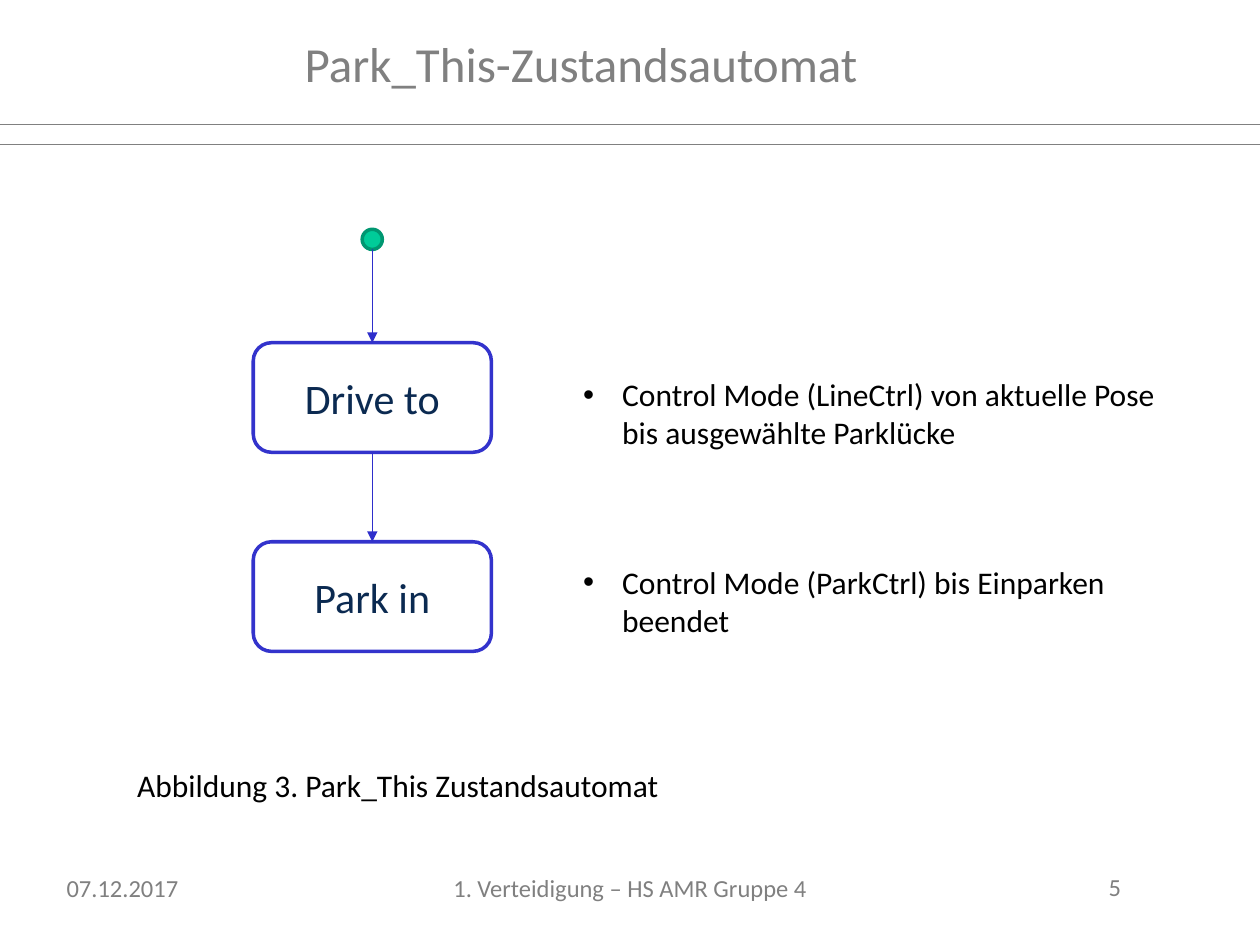
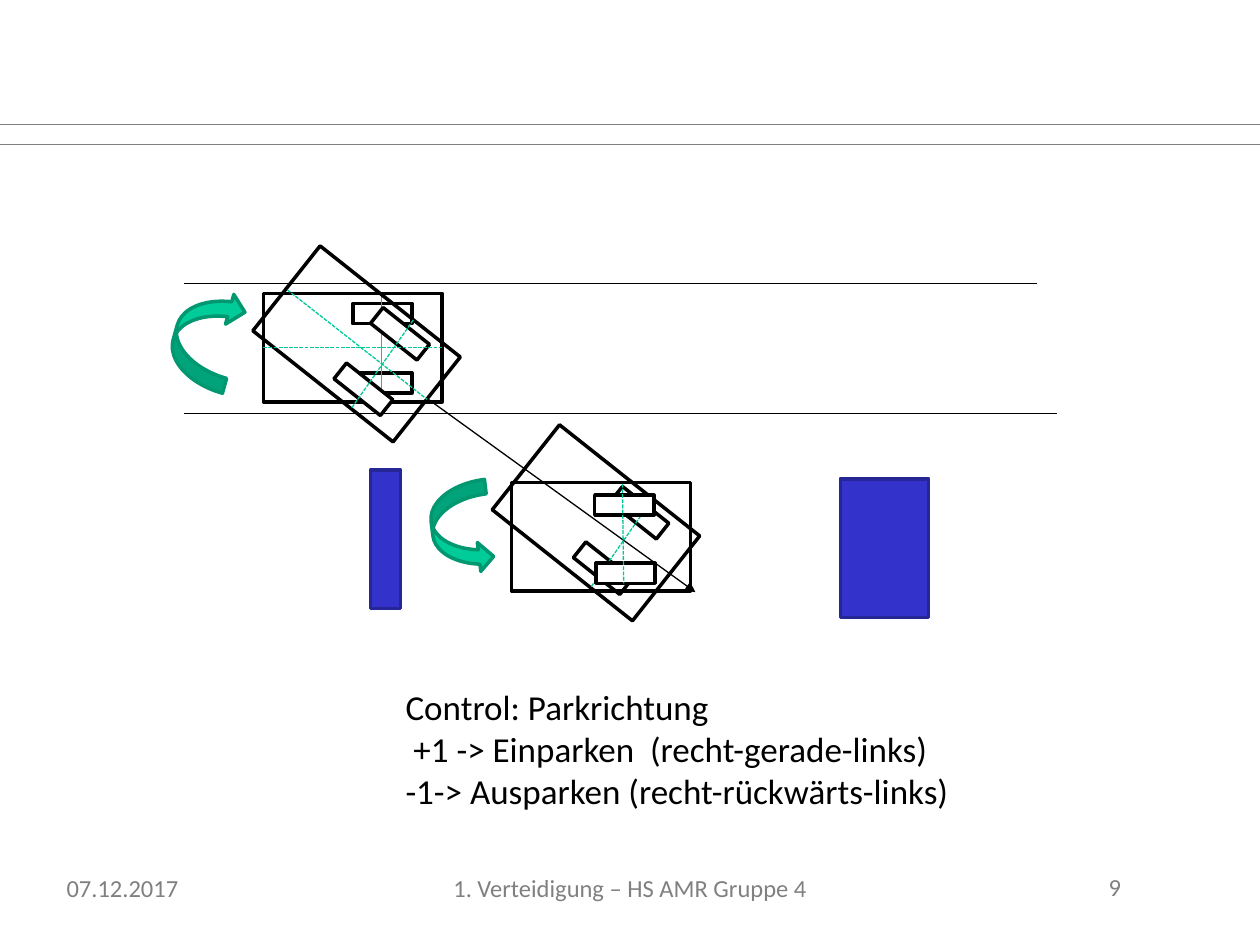
from lxml import etree
from pptx import Presentation
from pptx.dml.color import RGBColor
from pptx.enum import dml, shapes, text
from pptx.oxml import ns
from pptx.util import Inches, Pt

FONT = "Calibri"
BLACK = RGBColor(0x00, 0x00, 0x00)
WHITE = RGBColor(0xFF, 0xFF, 0xFF)
GREY = RGBColor(0x80, 0x80, 0x80)
NAVY = RGBColor(0x0B, 0x2A, 0x51)
BLUE = RGBColor(0x33, 0x33, 0xCC)
ARROW_BLUE = RGBColor(0x2E, 0x2E, 0xCB)
DARK_BLUE = RGBColor(0x26, 0x26, 0x97)
GREEN = RGBColor(0x00, 0xCC, 0x99)
DARK_GREEN = RGBColor(0x00, 0x97, 0x71)
AXLE_GREEN = RGBColor(0x00, 0xC8, 0x96)

SHAPE = shapes.MSO_SHAPE
CAR_SIZE = (1.42, 0.86)
WHEEL_SIZE = (0.47, 0.16)
TURN = 38.4
TURNED_WHEELS = [(0.82, 0.27), (0.53, 0.71)]
TURNED_AXLE = [(1.16, 0.24), (0.67, 0.94)]


def add_span(para, words, size, color):
    span = para.add_run()
    span.text = words
    span.font.name = FONT
    span.font.size = Pt(size)
    span.font.color.rgb = color


def add_text(page, box, lines, size, color, wrap=True):
    frame = page.shapes.add_textbox(*map(Inches, box)).text_frame
    frame.word_wrap = wrap
    for number, line in enumerate(lines):
        para = frame.add_paragraph() if number else frame.paragraphs[0]
        add_span(para, line, size, color)
    return frame


def add_figure(page, kind, box, fill, line, turn=0):
    figure = page.shapes.add_shape(kind, *map(Inches, box))
    figure.shadow.inherit = False
    figure.rotation = turn
    if fill is None:
        figure.fill.background()
    else:
        figure.fill.solid()
        figure.fill.fore_color.rgb = fill
    figure.line.color.rgb = line
    figure.line.width = Pt(2)
    return figure


def add_line(page, start, end, color, width=0.75, dashed=False, arrow=False):
    line = page.shapes.add_connector(
        shapes.MSO_CONNECTOR.STRAIGHT, *map(Inches, (*start, *end)))
    line.line.color.rgb = color
    line.line.width = Pt(width)
    if dashed:
        line.line.dash_style = dml.MSO_LINE.SQUARE_DOT
    if arrow:
        outline = line.line._get_or_add_ln()
        etree.SubElement(outline, ns.qn("a:tailEnd"), type="triangle")
    etree.SubElement(line._element.spPr, ns.qn("a:effectLst"))
    return line


def add_page(deck, number):
    page = deck.slides.add_slide(deck.slide_layouts[6])
    for height in (0.99, 1.15):
        add_line(page, (0, height), (10, height), GREY, 0.5)
    add_text(page, (0.43, 6.88, 1.1, 0.34), ["07.12.2017"], 14, GREY, False)
    add_text(page, (8.7, 6.87, 0.56, 0.34), [str(number)], 14, GREY)
    add_text(page, (3.5, 6.88, 3.03, 0.34),
             ["1. Verteidigung – HS AMR Gruppe 4"], 14, GREY, False)
    return page


def add_state_machine(page, left, top, width):
    middle = left + width / 2
    add_figure(page, SHAPE.FLOWCHART_CONNECTOR,
               (middle - 0.08, top, 0.16, 0.16), GREEN, DARK_GREEN)
    previous = None
    for name, offset in (("Drive to", 0.9), ("Park in", 2.48)):
        state = add_figure(page, SHAPE.ROUNDED_RECTANGLE,
                           (left, top + offset, width, 0.87), WHITE, BLUE)
        frame = state.text_frame
        frame.vertical_anchor = text.MSO_ANCHOR.MIDDLE
        frame.paragraphs[0].alignment = text.PP_ALIGN.CENTER
        add_span(frame.paragraphs[0], name, 24, NAVY)
        arrow = add_line(page, (middle, top + 0.16), (middle, top + offset),
                         ARROW_BLUE, arrow=True)
        if previous is not None:
            arrow.begin_connect(previous, 2)
        arrow.end_connect(state, 0)
        previous = state


def add_bullets(page, box, lines, gap):
    frame = add_text(page, box, lines, 18, BLACK)
    for number, para in enumerate(frame.paragraphs):
        if number:
            para.space_before = Pt(gap)
        props = para._p.get_or_add_pPr()
        props.set("marL", str(Inches(0.31)))
        props.set("indent", str(Inches(-0.31)))
        etree.SubElement(props, ns.qn("a:buFont"), typeface="Arial")
        etree.SubElement(props, ns.qn("a:buChar"), char="•")


def add_car(page, left, top, wheels, axle, turn=0, fill=None, dashed=True):
    body = add_figure(page, SHAPE.RECTANGLE, (left, top, *CAR_SIZE),
                      fill, BLACK, turn)
    for across, down in wheels:
        add_figure(page, SHAPE.RECTANGLE,
                   (left + across, top + down, *WHEEL_SIZE), WHITE, BLACK, turn)
    start, end = [(left + across, top + down) for across, down in axle]
    add_line(page, start, end, AXLE_GREEN, dashed=dashed)
    return body


def add_parking_scene(page, left, top):
    def at(across, down):
        return left + across, top + down

    for down, length in ((0, 6.77), (1.03, 6.93)):
        add_line(page, at(0, down), at(length, down), BLACK)

    body = add_car(page, *at(0.63, 0.08), [(0.71, 0.08), (0.71, 0.63)],
                   [(0.94, 0), (0.94, 0.87)], fill=WHITE, dashed=False)
    add_car(page, *at(0.66, 0.05), TURNED_WHEELS, TURNED_AXLE, TURN)
    center_line = add_line(page, at(0.63, 0.52), at(2.04, 0.52),
                           AXLE_GREEN, dashed=True)
    center_line.begin_connect(body, 1)
    center_line.end_connect(body, 3)
    add_line(page, at(0.82, 0.05), at(1.93, 0.92), AXLE_GREEN, dashed=True)
    add_line(page, at(1.94, 0.92), at(4.06, 2.45), BLACK, arrow=True)

    for across, down, width in ((1.48, 1.48, 0.24), (5.21, 1.55, 0.7)):
        add_figure(page, SHAPE.RECTANGLE, (*at(across, down), width, 1.1),
                   BLUE, DARK_BLUE)
    add_figure(page, SHAPE.CURVED_DOWN_ARROW, (*at(-0.22, 0.18), 0.79, 0.49),
               GREEN, DARK_GREEN, 285.5)

    add_car(page, *at(2.56, 1.47), TURNED_WHEELS, TURNED_AXLE, TURN)
    add_car(page, *at(2.6, 1.58), [(0.66, 0.1), (0.67, 0.64)],
            [(0.88, 0.01), (0.89, 0.8)])
    add_figure(page, SHAPE.CURVED_RIGHT_ARROW, (*at(1.97, 1.58), 0.46, 0.73),
               GREEN, DARK_GREEN, 353.2)


def build_state_page(deck):
    page = add_page(deck, 5)
    add_text(page, (2.32, 0.22, 8.5, 1.61),
             ["Park_This-Zustandsautomat"], 28, GREY)
    add_state_machine(page, 2.01, 1.82, 1.89)
    add_text(page, (0.99, 6.03, 4.39, 0.4),
             ["Abbildung 3. Park_This Zustandsautomat"], 18, BLACK, False)
    add_bullets(page, (4.53, 2.93, 4.96, 2.22), [
        "Control Mode (LineCtrl) von aktuelle Pose bis ausgewählte Parklücke",
        "Control Mode (ParkCtrl) bis Einparken beendet",
    ], 64)


def build_parking_page(deck):
    page = add_page(deck, 9)
    add_parking_scene(page, 1.46, 2.25)
    add_text(page, (3.12, 5.39, 5.75, 1.11), [
        "Control: Parkrichtung",
        " +1 -> Einparken  (recht-gerade-links)",
        "-1-> Ausparken (recht-rückwärts-links)",
    ], 20, BLACK)


def main():
    deck = Presentation()
    deck.slide_width = Inches(10)
    deck.slide_height = Inches(7.5)
    build_state_page(deck)
    build_parking_page(deck)
    deck.save("out.pptx")


if __name__ == "__main__":
    main()
